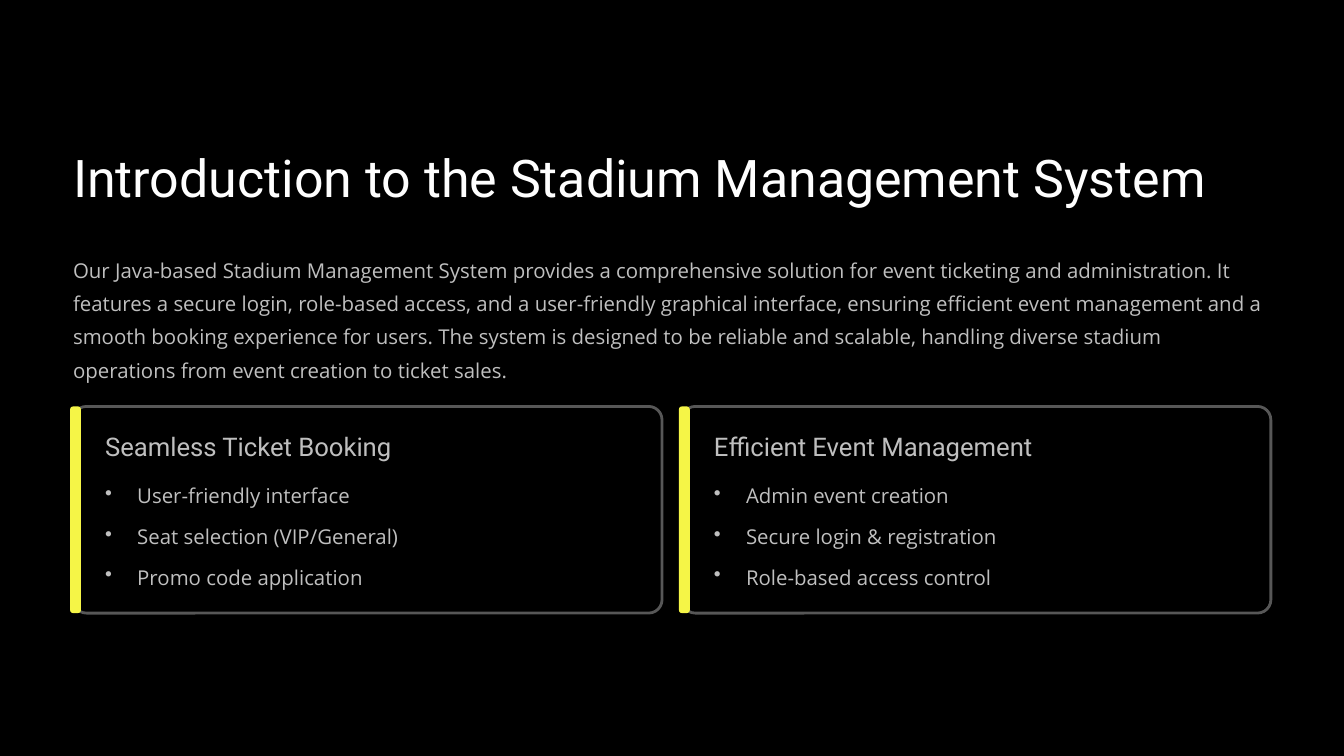
import pptx
import pptx.dml.color
import pptx.enum.shapes
import pptx.oxml
import pptx.oxml.ns
import pptx.util

Cm = pptx.util.Cm
Pt = pptx.util.Pt

COLORS = {
    "background": "000000",
    "title": "FEFEFE",
    "text": "BFBFBF",
    "outline": "575757",
    "accent": "F5F547",
}
TITLE = "Introduction to the Stadium Management System"
SUMMARY = (
    "Our Java-based Stadium Management System provides a comprehensive solution "
    "for event ticketing and administration. It features a secure login, role-based "
    "access, and a user-friendly graphical interface, ensuring efficient event "
    "management and a smooth booking experience for users. The system is designed "
    "to be reliable and scalable, handling diverse stadium operations from event "
    "creation to ticket sales."
)
CARDS = [
    ("Seamless Ticket Booking",
     ["User-friendly interface", "Seat selection (VIP/General)", "Promo code application"]),
    ("Efficient Event Management",
     ["Admin event creation", "Secure login & registration", "Role-based access control"]),
]


def color(name):
    return pptx.dml.color.RGBColor.from_string(COLORS[name])


def add_bullet(para):
    properties = para._p.get_or_add_pPr()
    properties.set("marL", str(Cm(0.97)))
    properties.set("indent", str(-Cm(0.97)))
    namespace = pptx.oxml.ns.nsdecls("a")
    properties.append(pptx.oxml.parse_xml(f'<a:buChar {namespace} char="•"/>'))


def add_text(page, left, top, width, height, lines, font, size, leading,
             tone="text", bullets=False, gap=0):
    box = page.shapes.add_textbox(Cm(left), Cm(top), Cm(width), Cm(height))
    frame = box.text_frame
    frame.word_wrap = True
    frame.margin_left = frame.margin_right = frame.margin_top = frame.margin_bottom = 0
    for index, line in enumerate(lines):
        para = frame.add_paragraph() if index else frame.paragraphs[0]
        para.text = line
        if bullets:
            add_bullet(para)
        para.line_spacing = Pt(leading)
        if index:
            para.space_before = Pt(gap)
        para.font.name = font
        para.font.size = Pt(size)
        para.font.color.rgb = color(tone)


def add_round_box(page, left, top, width, height, rounding):
    shape = page.shapes.add_shape(
        pptx.enum.shapes.MSO_SHAPE.ROUNDED_RECTANGLE,
        Cm(left), Cm(top), Cm(width), Cm(height))
    shape.adjustments[0] = rounding
    shape.shadow.inherit = False
    return shape


def add_intro(page, left, top, width):
    add_text(page, left, top, width, 1.98, [TITLE], "Roboto", 44.5, 55.5, "title")
    add_text(page, left, top + 3.22, width, 4.04, [SUMMARY], "Open Sans", 17.5, 28.5)


def add_card(page, left, top, width, height, heading, points):
    panel = add_round_box(page, left, top, width, height, 0.065)
    panel.fill.background()
    panel.line.color.rgb = color("outline")
    panel.line.width = Pt(2.4)
    bar = add_round_box(page, left - 0.09, top, 0.33, height, 0.28)
    bar.fill.solid()
    bar.fill.fore_color.rgb = color("accent")
    bar.line.fill.background()
    inner_left, inner_width = left + 0.97, width - 1.68
    add_text(page, inner_left, top + 0.71, inner_width, 0.99, [heading],
             "Roboto", 22, 27.5)
    add_text(page, inner_left, top + 2.06, inner_width, 3.48, points,
             "Open Sans", 17.5, 28.5, bullets=True, gap=6.4)


def main():
    deck = pptx.Presentation()
    deck.slide_width, deck.slide_height = Cm(40.64), Cm(22.86)
    page = deck.slides.add_slide(deck.slide_layouts[6])
    page.background.fill.solid()
    page.background.fill.fore_color.rgb = color("background")

    margin, content_width, gutter = 2.21, 36.22, 0.6
    add_intro(page, margin, 4.32, content_width)
    card_width = (content_width - gutter) / len(CARDS)
    for index, (heading, points) in enumerate(CARDS):
        left = margin + index * (card_width + gutter)
        add_card(page, left, 12.29, card_width, 6.25, heading, points)
    deck.save("out.pptx")


if __name__ == "__main__":
    main()
